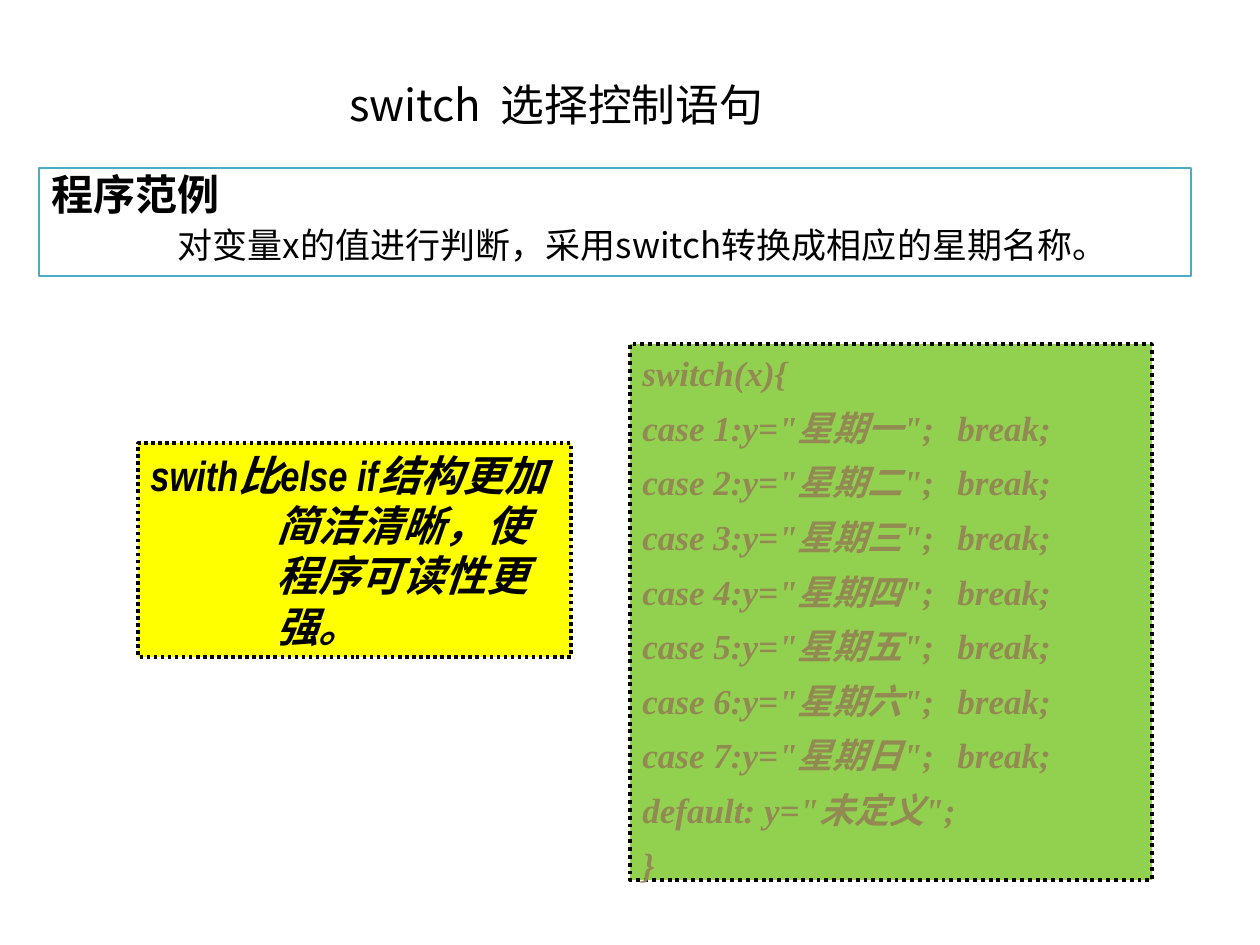
from lxml.etree import SubElement
from pptx import Presentation
from pptx.dml.color import RGBColor
from pptx.enum.dml import MSO_LINE
from pptx.enum.shapes import MSO_SHAPE
from pptx.enum.text import MSO_ANCHOR, PP_ALIGN
from pptx.oxml.ns import qn
from pptx.util import Pt

PX = 914400 / 126
CJK = "Noto Sans CJK SC"
DAYS = "一二三四五六日"


def px(length):
    return round(length * PX)


def color(hex_code):
    return RGBColor.from_string(hex_code)


def set_up_frame(frame, anchor):
    frame.word_wrap = True
    frame.vertical_anchor = anchor
    return frame


def add_heading_frame(slide, left, top, width, height):
    heading = slide.shapes.add_textbox(px(left), px(top), px(width), px(height))
    return set_up_frame(heading.text_frame, MSO_ANCHOR.MIDDLE)


def add_panel(slide, left, top, width, height, fill, line, weight,
              dash=None, anchor=MSO_ANCHOR.TOP):
    panel = slide.shapes.add_shape(
        MSO_SHAPE.RECTANGLE, px(left), px(top), px(width), px(height))
    panel.shadow.inherit = False
    panel.fill.solid()
    panel.fill.fore_color.rgb = color(fill)
    panel.line.color.rgb = color(line)
    panel.line.width = Pt(weight)
    if dash:
        panel.line.dash_style = dash
    return set_up_frame(panel.text_frame, anchor)


def add_line(frame, text, size, font=CJK, ink="000000", bold=False, italic=False,
             align=PP_ALIGN.LEFT, margin=0, indent=0, spacing=1.0, before=0, tab=None):
    first = frame.paragraphs[0]
    paragraph = frame.add_paragraph() if first.runs else first
    paragraph.alignment = align
    paragraph.line_spacing = spacing
    paragraph.space_before = Pt(before)
    properties = paragraph._p.get_or_add_pPr()
    properties.set("marL", str(px(margin)))
    properties.set("indent", str(px(indent)))
    if tab:
        stops = SubElement(properties, qn("a:tabLst"))
        SubElement(stops, qn("a:tab"), pos=str(px(tab)), algn="l")
    run = paragraph.add_run()
    run.text = text
    run.font.size = Pt(size)
    run.font.bold = bold
    run.font.italic = italic
    run.font.color.rgb = color(ink)
    run.font.name = font
    SubElement(run._r.get_or_add_rPr(), qn("a:ea"), typeface=CJK)


def main():
    deck = Presentation()
    deck.slide_width, deck.slide_height = px(1260), px(945)
    slide = deck.slides.add_slide(deck.slide_layouts[6])

    heading = add_heading_frame(slide, 118, 69, 876, 69)
    add_line(heading, "switch  选择控制语句", 25, align=PP_ALIGN.CENTER)

    example = add_panel(slide, 39, 168, 1152, 108, "FFFFFF", "4BACC6", 0.75)
    add_line(example, "程序范例", 24, bold=True, margin=48, indent=-48,
             spacing=0.9, before=6)
    add_line(example, "对变量x的值进行判断，采用switch转换成相应的星期名称。", 20,
             margin=63, indent=63, spacing=0.9, before=5)

    code = add_panel(slide, 630, 344, 522, 536, "92D050", "000000", 2.25,
                     MSO_LINE.ROUND_DOT, MSO_ANCHOR.MIDDLE)
    cases = [f'case {number}:y="星期{day}";\tbreak;'
             for number, day in enumerate(DAYS, 1)]
    for statement in ["switch(x){", *cases, 'default: y="未定义";', "}"]:
        add_line(code, statement, 20, "Times New Roman", "938953", True, True,
                 spacing=1.3, tab=344)

    remark = add_panel(slide, 138, 443, 433, 214, "FFFF00", "000000", 2,
                       MSO_LINE.ROUND_DOT)
    add_line(remark, "swith比else if结构更加简洁清晰，使程序可读性更强。", 24,
             "Arial Narrow", bold=True, italic=True, margin=126, indent=-126, before=15)

    deck.save("out.pptx")


if __name__ == "__main__":
    main()
